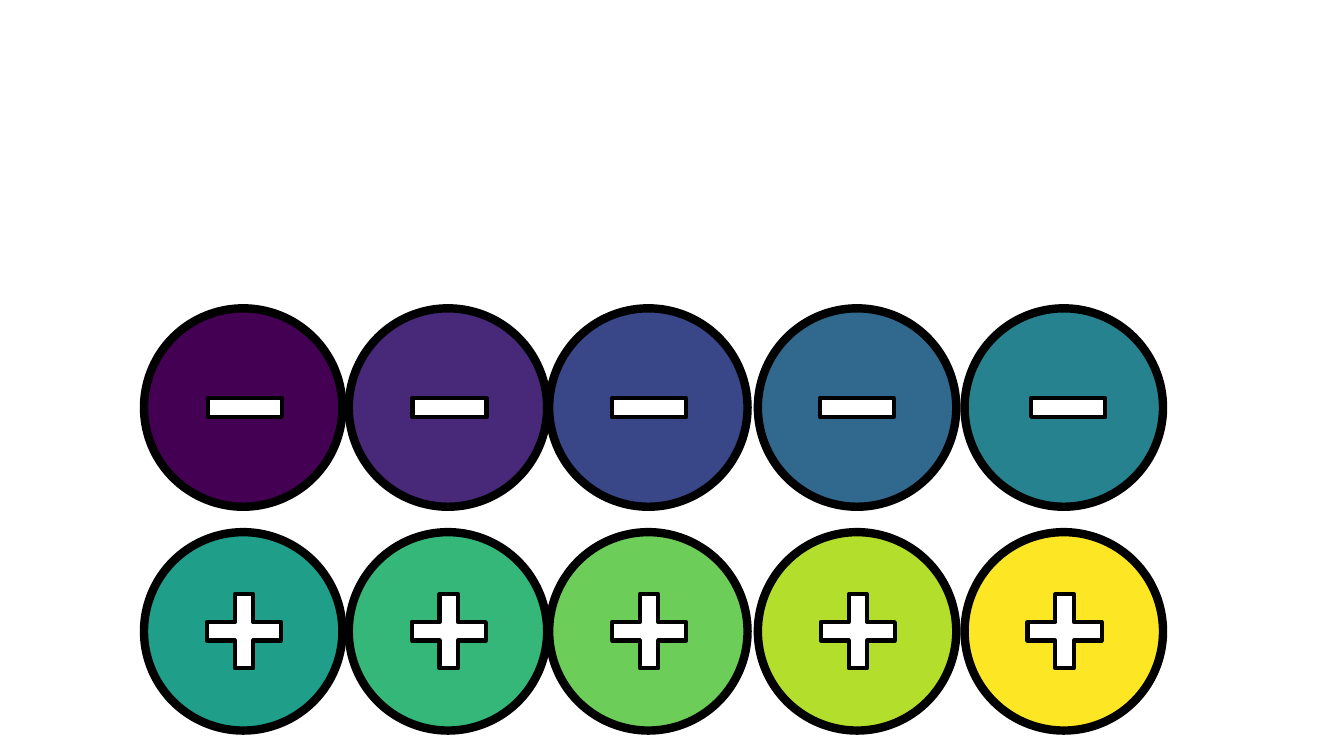
from pptx import Presentation
from pptx.dml.color import RGBColor
from pptx.enum.shapes import MSO_SHAPE as Shape
from pptx.util import Cm, Pt

CIRCLE = 5
SIGN_WIDTH = 2.54
COLUMNS = [3.63, 8.79, 13.84, 19.1, 24.31]
PLUS_ROW = ["1F9E89", "35B779", "6DCD59", "B4DE2C", "FDE725"]
MINUS_ROW = ["440154", "482878", "394687", "31688E", "26828E"]
PLUS_NUDGES = [0.02] * 5
MINUS_NUDGES = [0.04, 0.04, 0.02, -0.01, 0.11]


def color(hex_code):
    """Turn a hex string into a colour."""
    return RGBColor.from_string(hex_code)


def add_outlined(slide, kind, left, top, width, height, fill, line_width):
    """Add a filled shape with a black outline, in centimetres."""
    outlined = slide.shapes.add_shape(kind, Cm(left), Cm(top), Cm(width), Cm(height))
    outlined.shadow.inherit = False
    outlined.fill.solid()
    outlined.fill.fore_color.rgb = color(fill)
    outlined.line.color.rgb = color("000000")
    outlined.line.width = Pt(line_width)
    return outlined


def add_charge_row(slide, top, fills, sign, sign_height, thickness, nudges):
    """Add a row of coloured circles, each with a sign in its middle."""
    for left, fill, nudge in zip(COLUMNS, fills, nudges):
        add_outlined(slide, Shape.OVAL, left, top, CIRCLE, CIRCLE, fill, 6)
        sign_left = left + (CIRCLE - SIGN_WIDTH) / 2 + nudge
        sign_top = top + (CIRCLE - sign_height) / 2
        charge = add_outlined(slide, sign, sign_left, sign_top,
                              SIGN_WIDTH, sign_height, "FFFFFF", 3)
        charge.adjustments[0] = thickness


def main():
    """Build the slide and save it."""
    deck = Presentation()
    deck.slide_width, deck.slide_height = Cm(33.87), Cm(19.05)
    slide = deck.slides.add_slide(deck.slide_layouts[6])
    add_charge_row(slide, 13.41, PLUS_ROW, Shape.MATH_PLUS, 2.54, 0.183, PLUS_NUDGES)
    add_charge_row(slide, 7.77, MINUS_ROW, Shape.MATH_MINUS, 2.34, 0.2, MINUS_NUDGES)
    deck.save("out.pptx")


if __name__ == "__main__":
    main()
